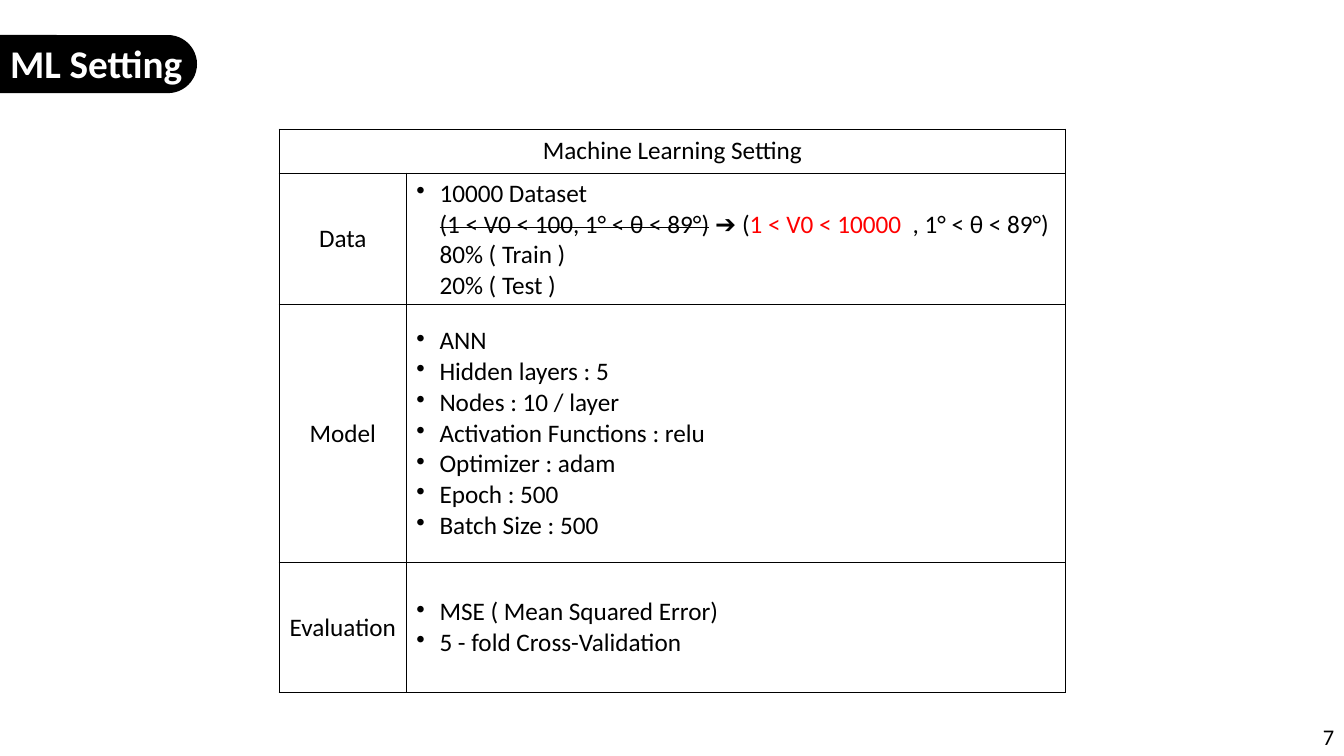
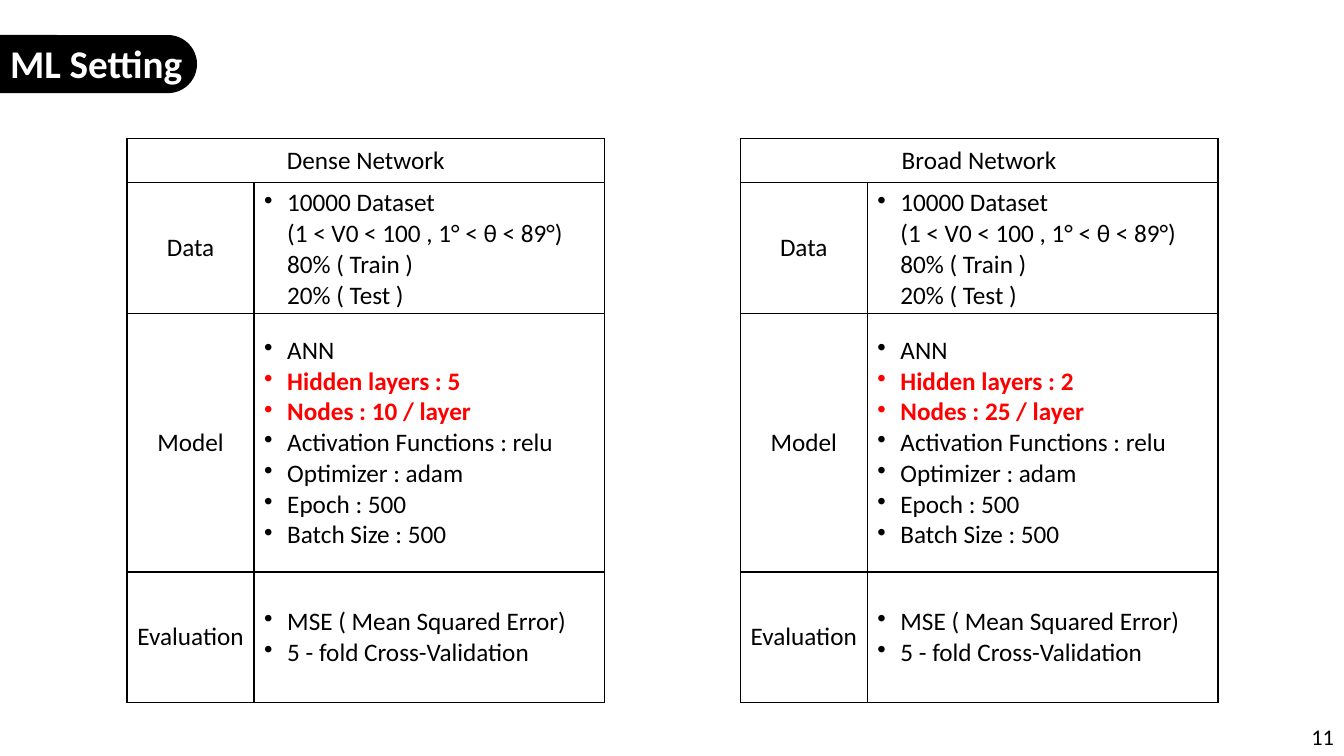
"""Build two slides that set out machine learning settings in tables."""
from dataclasses import dataclass

from lxml import etree
from pptx import Presentation
from pptx import util as u
from pptx.dml.color import RGBColor
from pptx.enum import shapes, text
from pptx.oxml.ns import qn

PX = 9525


@dataclass(frozen=True)
class Theme:
    font: str = "Calibri"
    ink: str = "000000"
    paper: str = "FFFFFF"
    accent: str = "FF0000"
    title_size: int = 28
    table_size: int = 18
    number_size: int = 16
    line_width: int = 1
    indent: int = 22


@dataclass(frozen=True)
class Box:
    left: int
    top: int
    width: int
    height: int

    def emu(self) -> list[int]:
        return [px(n) for n in (self.left, self.top, self.width, self.height)]


@dataclass(frozen=True)
class Span:
    text: str
    color: str | None = None
    bold: bool = False
    strike: bool = False


@dataclass(frozen=True)
class Line:
    spans: tuple[Span, ...]
    bullet: bool = True


@dataclass(frozen=True)
class Setting:
    heading: str
    left: int
    top: int
    detail_width: int
    limits: tuple[Span, ...]
    layers: int
    nodes: int
    highlight: bool = False


@dataclass(frozen=True)
class Page:
    number: int
    settings: tuple[Setting, ...]


THEME = Theme()
BAND = Box(-60, 34, 247, 54)
TITLE = Box(0, 33, 200, 55)
NUMBER = Box(992, 682, 288, 38)
LABEL_WIDTH = 121
ROW_HEIGHTS = (42, 124, 246, 124)
NARROW_LIMITS = (Span("(1 < V0 < 100 , 1° < θ < 89°)"),)
CHANGED_LIMITS = (
    Span("(1 < V0 < 100, 1° < θ < 89°)", strike=True),
    Span(" ➔ ("),
    Span("1 < V0 < 10000 ", color=THEME.accent),
    Span(" , 1° < θ < 89°)"),
)
PAGES = (
    Page(7, (Setting("Machine Learning Setting", 266, 123, 628, CHANGED_LIMITS, 5, 10),)),
    Page(11, (
        Setting("Dense Network", 121, 132, 334, NARROW_LIMITS, 5, 10, True),
        Setting("Broad Network", 705, 132, 334, NARROW_LIMITS, 2, 25, True),
    )),
)


def px(length: int) -> int:
    return u.Emu(length * PX)


def rgb(color: str) -> RGBColor:
    return RGBColor.from_string(color)


def style(para, size: int, color: str, align, bold: bool = False) -> None:
    para.alignment = align
    font = para.font
    font.name, font.size, font.bold = THEME.font, u.Pt(size), bold
    font.color.rgb = rgb(color)


def indent(para, bullet: bool) -> None:
    props = para._p.get_or_add_pPr()
    props.set("marL", str(px(THEME.indent)))
    props.set("indent", str(px(-THEME.indent if bullet else 0)))
    mark = etree.Element(qn("a:buChar" if bullet else "a:buNone"))
    if bullet:
        mark.set("char", "•")
    props.insert(0, mark)


def add_spans(para, spans: tuple[Span, ...]) -> None:
    for item in spans:
        span = para.add_run()
        span.text = item.text
        if item.color:
            span.font.color.rgb = rgb(item.color)
        if item.bold:
            span.font.bold = True
        if item.strike:
            span._r.get_or_add_rPr().set("strike", "sngStrike")


def frame_cell(cell) -> None:
    props = cell._tc.get_or_add_tcPr()
    for side in ("L", "R", "T", "B"):
        edge = etree.SubElement(props, qn(f"a:ln{side}"), w=str(u.Pt(THEME.line_width)))
        fill = etree.SubElement(edge, qn("a:solidFill"))
        etree.SubElement(fill, qn("a:srgbClr"), val=THEME.ink)
    cell.fill.background()
    cell.vertical_anchor = text.MSO_ANCHOR.MIDDLE


def write_label(cell, label: str) -> None:
    para = cell.text_frame.paragraphs[0]
    style(para, THEME.table_size, THEME.ink, text.PP_ALIGN.CENTER)
    add_spans(para, (Span(label),))


def write_lines(cell, lines: list[Line]) -> None:
    frame = cell.text_frame
    for index, line in enumerate(lines):
        para = frame.add_paragraph() if index else frame.paragraphs[0]
        style(para, THEME.table_size, THEME.ink, text.PP_ALIGN.LEFT)
        indent(para, line.bullet)
        add_spans(para, line.spans)


def bullets(*items: str) -> list[Line]:
    return [Line((Span(item),)) for item in items]


def setting_rows(setting: Setting) -> dict[str, list[Line]]:
    color = THEME.accent if setting.highlight else None
    sizes = (f"Hidden layers : {setting.layers}", f"Nodes : {setting.nodes} / layer")
    shares = ((Span("80% ( Train )"),), (Span("20% ( Test )"),))
    return {
        "Data": bullets("10000 Dataset")
        + [Line(spans, bullet=False) for spans in (setting.limits, *shares)],
        "Model": bullets("ANN")
        + [Line((Span(size, color, setting.highlight),)) for size in sizes]
        + bullets("Activation Functions : relu", "Optimizer : adam", "Epoch : 500", "Batch Size : 500"),
        "Evaluation": bullets("MSE ( Mean Squared Error)", "5 - fold Cross-Validation"),
    }


def add_setting(page, setting: Setting) -> None:
    widths = (LABEL_WIDTH, setting.detail_width)
    box = Box(setting.left, setting.top, sum(widths), sum(ROW_HEIGHTS))
    table = page.shapes.add_table(len(ROW_HEIGHTS), len(widths), *box.emu()).table
    table.first_row = table.horz_banding = False
    for column, width in zip(table.columns, widths):
        column.width = px(width)
    for row, height in zip(table.rows, ROW_HEIGHTS):
        row.height = px(height)
    for cell in table.iter_cells():
        frame_cell(cell)
    table.cell(0, 0).merge(table.cell(0, 1))
    write_label(table.cell(0, 0), setting.heading)
    for index, (label, lines) in enumerate(setting_rows(setting).items(), 1):
        write_label(table.cell(index, 0), label)
        write_lines(table.cell(index, 1), lines)


def add_title(page, words: str) -> None:
    band = page.shapes.add_shape(shapes.MSO_SHAPE.ROUNDED_RECTANGLE, *BAND.emu())
    band.adjustments[0] = 0.5
    band.shadow.inherit = False
    band.fill.solid()
    band.fill.fore_color.rgb = band.line.color.rgb = rgb(THEME.ink)
    band.line.width = u.Pt(THEME.line_width)
    title = page.shapes.title
    title.left, title.top, title.width, title.height = TITLE.emu()
    band.element.addnext(title.element)
    frame = title.text_frame
    frame.text = words
    frame.vertical_anchor = text.MSO_ANCHOR.TOP
    frame.auto_size = text.MSO_AUTO_SIZE.SHAPE_TO_FIT_TEXT
    style(frame.paragraphs[0], THEME.title_size, THEME.paper, text.PP_ALIGN.LEFT, bold=True)


def add_number(page, number: int) -> None:
    frame = page.shapes.add_textbox(*NUMBER.emu()).text_frame
    frame.word_wrap = True
    frame.vertical_anchor = text.MSO_ANCHOR.MIDDLE
    frame.text = str(number)
    style(frame.paragraphs[0], THEME.number_size, THEME.ink, text.PP_ALIGN.RIGHT)


def main() -> None:
    deck = Presentation()
    deck.slide_width, deck.slide_height = px(1280), px(720)
    layout = deck.slide_layouts.get_by_name("Title Only")
    for content in PAGES:
        page = deck.slides.add_slide(layout)
        add_number(page, content.number)
        for setting in content.settings:
            add_setting(page, setting)
        add_title(page, "ML Setting")
    deck.save("out.pptx")


if __name__ == "__main__":
    main()
